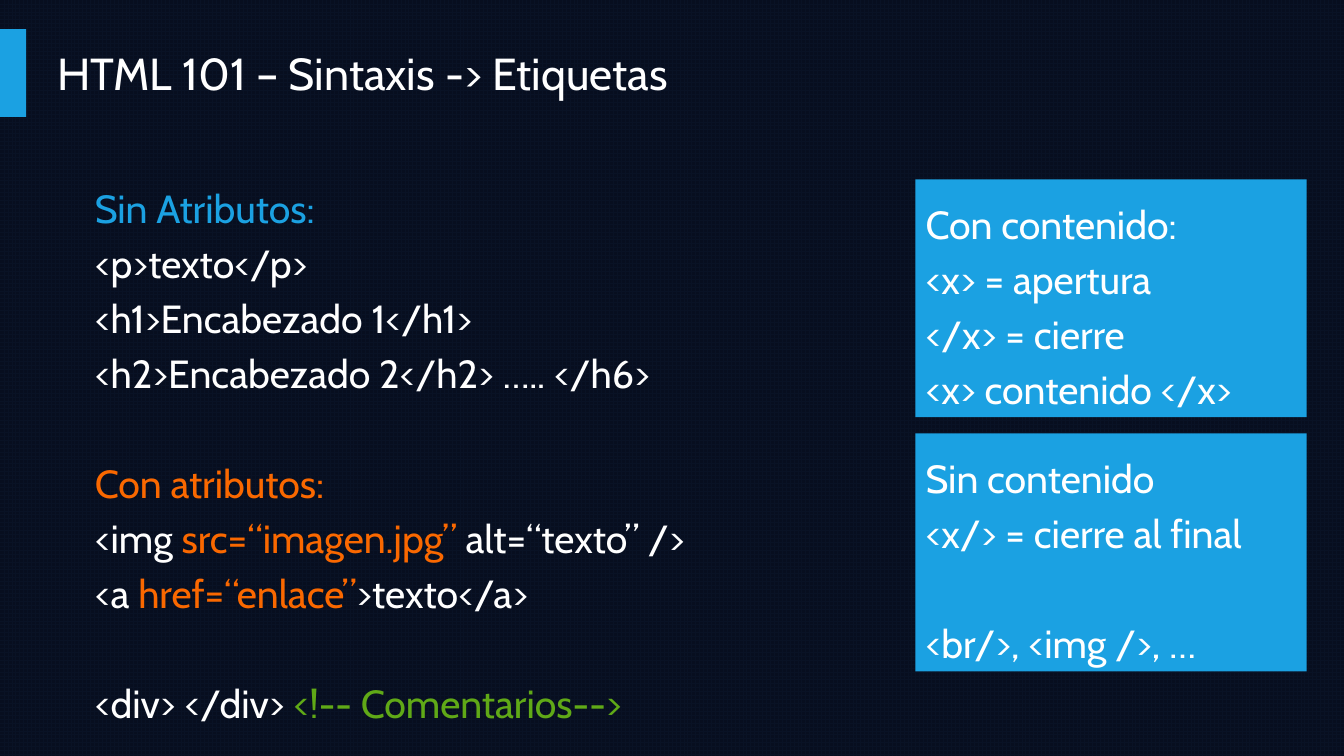
import pptx
import pptx.util
import pptx.dml.color
import pptx.enum.dml
import pptx.enum.shapes
import pptx.enum.text
import pptx.oxml.ns
from lxml import etree

Inches = pptx.util.Inches
Pt = pptx.util.Pt
Anchor = pptx.enum.text.MSO_ANCHOR

FONT = "Cabin"
WHITE, BLUE, ORANGE, GREEN = "FFFFFF", "1BA1E2", "FA6800", "60A917"
SPACING = 5.6
GROUP_SPACING = 45

TAG_GROUPS = [
    [
        [("Sin Atributos:", BLUE)],
        [("<p>texto</p>", WHITE)],
        [("<h1>Encabezado 1</h1>", WHITE)],
        [("<h2>Encabezado 2</h2> ….. </h6>", WHITE)],
    ],
    [
        [("Con atributos:", ORANGE)],
        [("<img ", WHITE), ("src=“imagen.jpg” ", ORANGE), ("alt=“texto” />", WHITE)],
        [("<a ", WHITE), ("href=“enlace”", ORANGE), (">texto</a>", WHITE)],
    ],
    [[("<div> </div> ", WHITE), ("<!-- Comentarios-->", GREEN)]],
]
WITH_CONTENT = [
    [
        [("Con contenido:", WHITE)],
        [("<x> = apertura", WHITE)],
        [("</x> = cierre", WHITE)],
        [("<x> contenido </x>", WHITE)],
    ]
]
WITHOUT_CONTENT = [
    [[("Sin contenido", WHITE)], [("<x/> = cierre al final", WHITE)]],
    [[("<br/>, <img />, …", WHITE)]],
]


def rgb(value):
    return pptx.dml.color.RGBColor.from_string(value)


def place(part, box):
    part.left, part.top, part.width, part.height = (Inches(length) for length in box)


def add_run(paragraph, text, size, color):
    run = paragraph.add_run()
    run.text = text
    run.font.name = FONT
    run.font.size = Pt(size)
    run.font.bold = False
    run.font.color.rgb = rgb(color)


def prepare_frame(holder, box, anchor):
    place(holder, box)
    frame = holder.text_frame
    frame.word_wrap = True
    frame.auto_size = pptx.enum.text.MSO_AUTO_SIZE.NONE
    frame.vertical_anchor = anchor
    return frame


def paint_background(slide):
    fill = slide.background.fill
    fill.patterned()
    fill.pattern = pptx.enum.dml.MSO_PATTERN.LARGE_GRID
    fill.fore_color.rgb = rgb("091225")
    fill.back_color.rgb = rgb("070E1F")


def build_header(slide, box):
    left, top, width, height = box
    accent = slide.shapes.add_shape(
        pptx.enum.shapes.MSO_SHAPE.RECTANGLE,
        Inches(left), Inches(top), Inches(0.26), Inches(height),
    )
    accent.shadow.inherit = False
    accent.fill.solid()
    accent.fill.fore_color.rgb = rgb(BLUE)
    accent.line.fill.background()

    title_box = (left + 0.47, top, width - 0.47, height - 0.02)
    frame = prepare_frame(slide.shapes.title, title_box, Anchor.MIDDLE)
    heading = frame.paragraphs[0]
    heading.alignment = pptx.enum.text.PP_ALIGN.LEFT
    add_run(heading, "HTML 101 – Sintaxis -> Etiquetas", 32, WHITE)


def build_code_list(holder, box, groups, anchor):
    frame = prepare_frame(holder, box, anchor)
    paragraph = None
    for group_number, group in enumerate(groups):
        for line_number, line in enumerate(group):
            paragraph = frame.add_paragraph() if paragraph else frame.paragraphs[0]
            opens_group = group_number > 0 and line_number == 0
            paragraph.space_before = Pt(GROUP_SPACING if opens_group else SPACING)
            paragraph.alignment = pptx.enum.text.PP_ALIGN.LEFT
            properties = paragraph._p.get_or_add_pPr()
            properties.set("marL", "0")
            properties.set("indent", "0")
            etree.SubElement(properties, pptx.oxml.ns.qn("a:buNone"))
            for text, color in line:
                add_run(paragraph, text, 28, color)


def build_note_card(holder, box, groups):
    holder.fill.solid()
    holder.fill.fore_color.rgb = rgb(BLUE)
    build_code_list(holder, box, groups, Anchor.BOTTOM)


def build_note_cards(holders, box):
    left, top, width, height = box
    gap = 0.16
    card_height = (height - gap) / 2
    for row, (holder, groups) in enumerate(zip(holders, (WITH_CONTENT, WITHOUT_CONTENT))):
        card_top = top + row * (card_height + gap)
        build_note_card(holder, (left, card_top, width, card_height), groups)


def build_tags_slide(presentation):
    slide = presentation.slides.add_slide(presentation.slide_layouts.get_by_name("Comparison"))
    holders = {holder.placeholder_format.idx: holder for holder in slide.placeholders}
    paint_background(slide)
    build_header(slide, (0, 0.29, 9.92, 0.87))
    build_note_cards((holders[1], holders[3]), (9.08, 1.78, 3.88, 4.88))
    build_code_list(holders[2], (0.84, 1.78, 7.8, 4.95), TAG_GROUPS, Anchor.TOP)
    unused = holders[4].element
    unused.getparent().remove(unused)


def main():
    presentation = pptx.Presentation()
    presentation.slide_width = Inches(13.33)
    presentation.slide_height = Inches(7.5)
    build_tags_slide(presentation)
    presentation.save("out.pptx")


if __name__ == "__main__":
    main()
